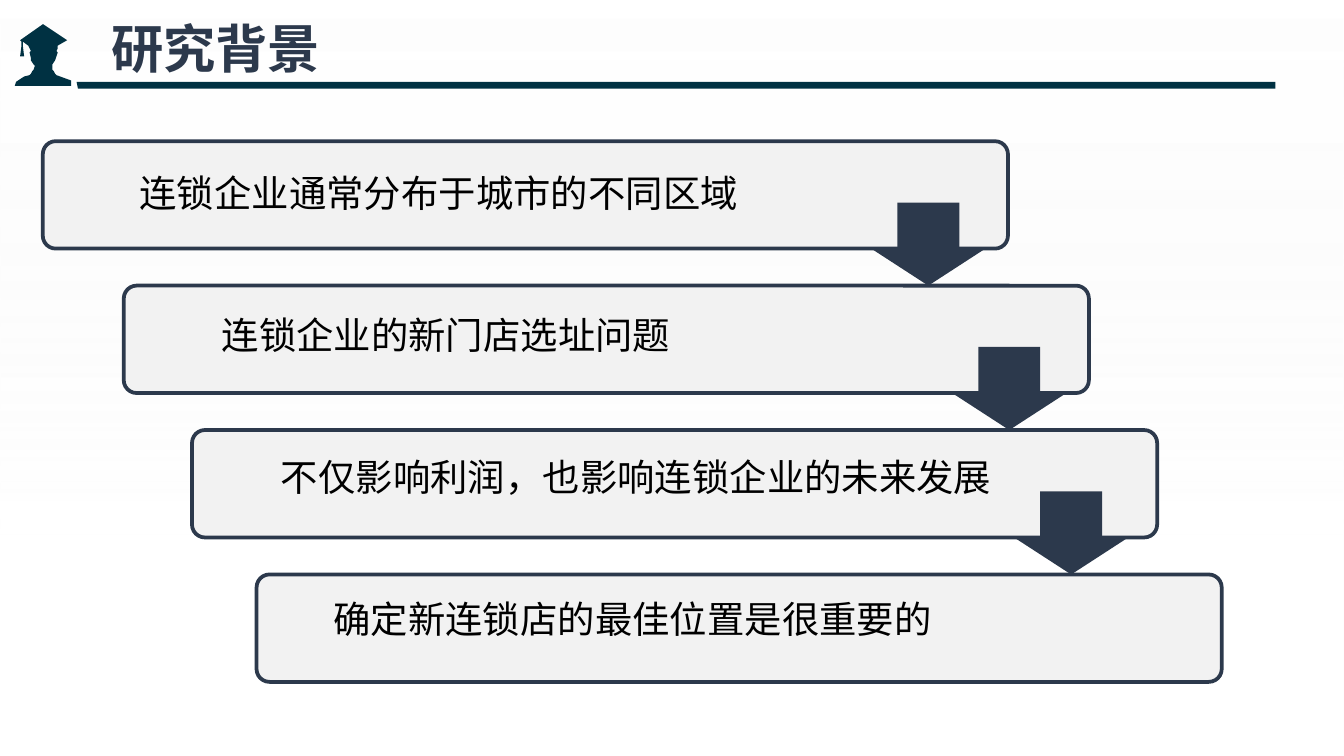
from dataclasses import dataclass

from lxml.etree import SubElement
from pptx import Presentation
from pptx.dml.color import RGBColor
from pptx.enum.shapes import MSO_SHAPE
from pptx.enum.text import MSO_ANCHOR, MSO_AUTO_SIZE, PP_ALIGN
from pptx.oxml.ns import qn
from pptx.shapes.base import BaseShape
from pptx.slide import Slide
from pptx.text.text import TextFrame
from pptx.util import Cm, Pt

WHITE = RGBColor(0xFF, 0xFF, 0xFF)
BLACK = RGBColor(0x00, 0x00, 0x00)
LIGHT_GRAY = RGBColor(0xF2, 0xF2, 0xF2)
NAVY = RGBColor(0x2C, 0x39, 0x4C)
DARK_TEAL = RGBColor(0x00, 0x31, 0x42)

CHINESE_FONT = "Noto Sans CJK SC"
HUNDREDTHS_PER_INCH = 100
OUTLINE_SCALE = Cm(2.54) / HUNDREDTHS_PER_INCH

BOX_TOP, BOX_PITCH = 2.67, 2.73
BOX_WIDTH, BOX_HEIGHT = 18.24, 2.03
TEXT_TOP, TEXT_PITCH, TEXT_HEIGHT = 3.1, 2.68, 1.12
ARROW_WIDTH, ARROW_HEIGHT = 2.13, 1.57

HEADER_BAR = [(57, 61), (949, 61), (949, 66), (58, 66)]
GRADUATE = [
    (53, 60), (42, 56), (41, 55), (40, 53), (39, 52), (39, 48), (41, 45),
    (43, 39), (42, 38), (43, 36), (43, 34), (50, 30), (32, 18), (15, 30),
    (16, 31), (16, 34), (15, 42), (18, 42), (17, 34), (17, 31), (21, 34),
    (23, 38), (22, 39), (23, 43), (23, 45), (25, 48), (26, 49), (25, 52),
    (24, 53), (23, 55), (22, 56), (18, 57), (12, 61), (11, 64), (53, 64),
]


@dataclass
class Step:
    text: str
    box_left: float
    text_left: float
    text_width: float
    arrow_left: float | None = None


STEPS = [
    Step("连锁企业通常分布于城市的不同区域", 0.81, 1.42, 15.98, 16.48),
    Step("连锁企业的新门店选址问题", 2.34, 2.97, 15.09, 18.01),
    Step("不仅影响利润，也影响连锁企业的未来发展", 3.63, 4.09, 15.04, 19.18),
    Step("确定新连锁店的最佳位置是很重要的", 4.85, 5.08, 17.68),
]


def paint(shape: BaseShape, color: RGBColor) -> None:
    shape.shadow.inherit = False
    shape.fill.solid()
    shape.fill.fore_color.rgb = color
    shape.line.fill.background()


def write_text(frame: TextFrame, text: str, size: int, color: RGBColor,
               font_name: str, bold: bool = False, indent: float = 0) -> None:
    frame.word_wrap = True
    frame.auto_size = MSO_AUTO_SIZE.SHAPE_TO_FIT_TEXT
    frame.vertical_anchor = MSO_ANCHOR.TOP
    paragraph = frame.paragraphs[0]
    paragraph.alignment = PP_ALIGN.LEFT
    properties = paragraph._p.get_or_add_pPr()
    properties.set("marL", "0")
    properties.set("indent", str(Cm(indent)))
    run = paragraph.add_run()
    run.text = text
    run.font.size = Pt(size)
    run.font.bold = bold
    run.font.color.rgb = color
    run.font.name = font_name
    east_asian = SubElement(run._r.get_or_add_rPr(), qn("a:ea"))
    east_asian.set("typeface", CHINESE_FONT)


def draw_background(slide: Slide, width: int, height: int) -> None:
    background = slide.shapes.add_shape(MSO_SHAPE.RECTANGLE, 0, 0, width, height)
    background.shadow.inherit = False
    background.line.fill.background()
    background.fill.gradient()
    background.fill.gradient_angle = 270
    settings = [(0, WHITE, 55), (0.71, LIGHT_GRAY, 0)]
    for stop, (position, color, opacity) in zip(background.fill.gradient_stops, settings):
        stop.position = position
        stop.color.rgb = color
        color_element = stop._gs.find(qn("a:srgbClr"))
        SubElement(color_element, qn("a:alpha")).set("val", str(opacity * 1000))


def draw_outline(slide: Slide, points: list[tuple[int, int]]) -> None:
    builder = slide.shapes.build_freeform(*points[0], scale=OUTLINE_SCALE)
    builder.add_line_segments(points[1:], close=True)
    paint(builder.convert_to_shape(), DARK_TEAL)


def draw_step(slide: Slide, step: Step, row: int) -> None:
    box = slide.shapes.add_shape(
        MSO_SHAPE.ROUNDED_RECTANGLE, Cm(step.box_left),
        Cm(BOX_TOP + row * BOX_PITCH), Cm(BOX_WIDTH), Cm(BOX_HEIGHT))
    box.adjustments[0] = 0.12
    paint(box, LIGHT_GRAY)
    box.line.color.rgb = NAVY
    box.line.width = Pt(2)
    label = slide.shapes.add_textbox(
        Cm(step.text_left), Cm(TEXT_TOP + row * TEXT_PITCH),
        Cm(step.text_width), Cm(TEXT_HEIGHT))
    write_text(label.text_frame, step.text, 20, BLACK, CHINESE_FONT, indent=0.97)


def draw_arrow(slide: Slide, left: float, row: int) -> None:
    next_box_top = BOX_TOP + (row + 1) * BOX_PITCH
    arrow = slide.shapes.add_shape(
        MSO_SHAPE.DOWN_ARROW, Cm(left), Cm(next_box_top - ARROW_HEIGHT),
        Cm(ARROW_WIDTH), Cm(ARROW_HEIGHT))
    arrow.adjustments[0] = 0.55
    arrow.adjustments[1] = 0.44
    paint(arrow, NAVY)


def place_title(slide: Slide, text: str) -> None:
    title = slide.shapes.title
    title.left, title.top = Cm(1.85), Cm(0.18)
    title.width, title.height = Cm(7.06), Cm(1.45)
    write_text(title.text_frame, text, 28, NAVY, "Arial", bold=True)
    title.element.getparent().append(title.element)


def main() -> None:
    presentation = Presentation()
    presentation.slide_width = Cm(25.4)
    presentation.slide_height = Cm(14.29)
    slide = presentation.slides.add_slide(presentation.slide_layouts[5])
    draw_background(slide, presentation.slide_width, presentation.slide_height)
    draw_outline(slide, HEADER_BAR)
    draw_outline(slide, GRADUATE)
    for row, step in enumerate(STEPS):
        draw_step(slide, step, row)
    for row, step in enumerate(STEPS):
        if step.arrow_left is not None:
            draw_arrow(slide, step.arrow_left, row)
    place_title(slide, "研究背景")
    presentation.save("out.pptx")


if __name__ == "__main__":
    main()
